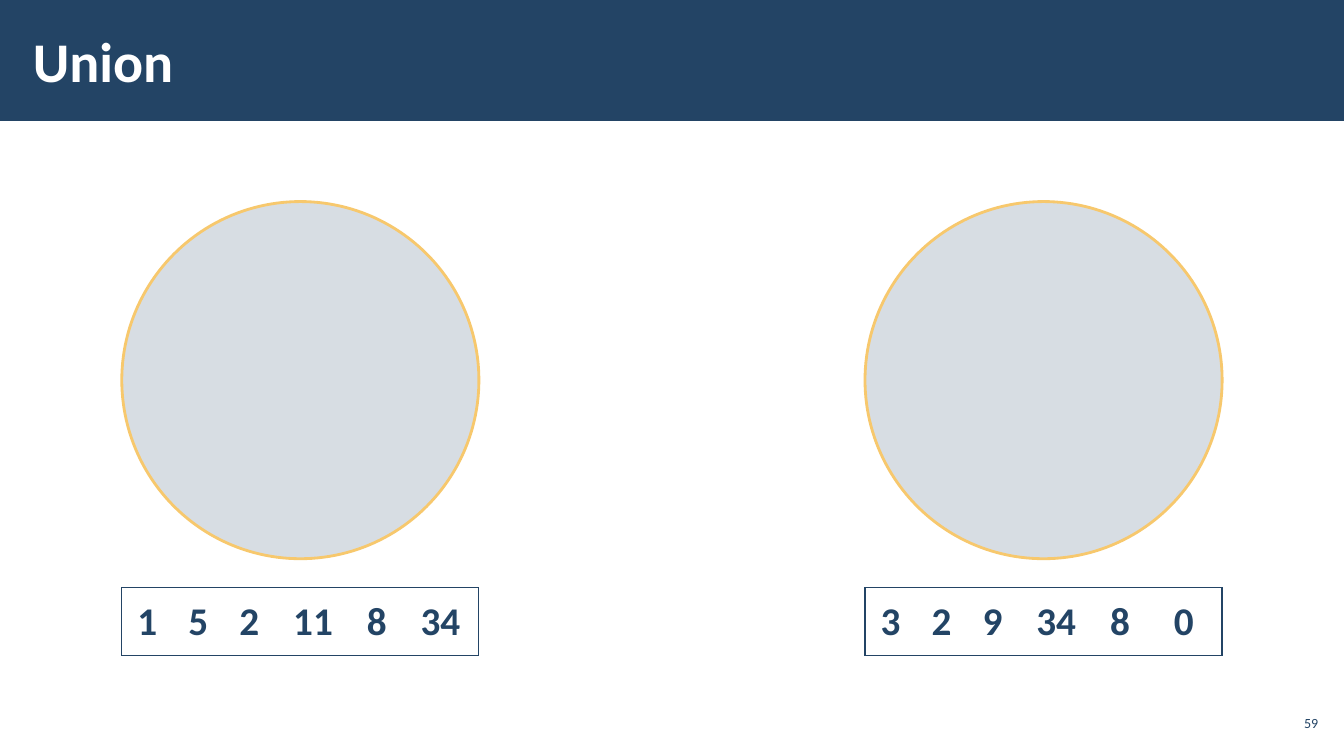
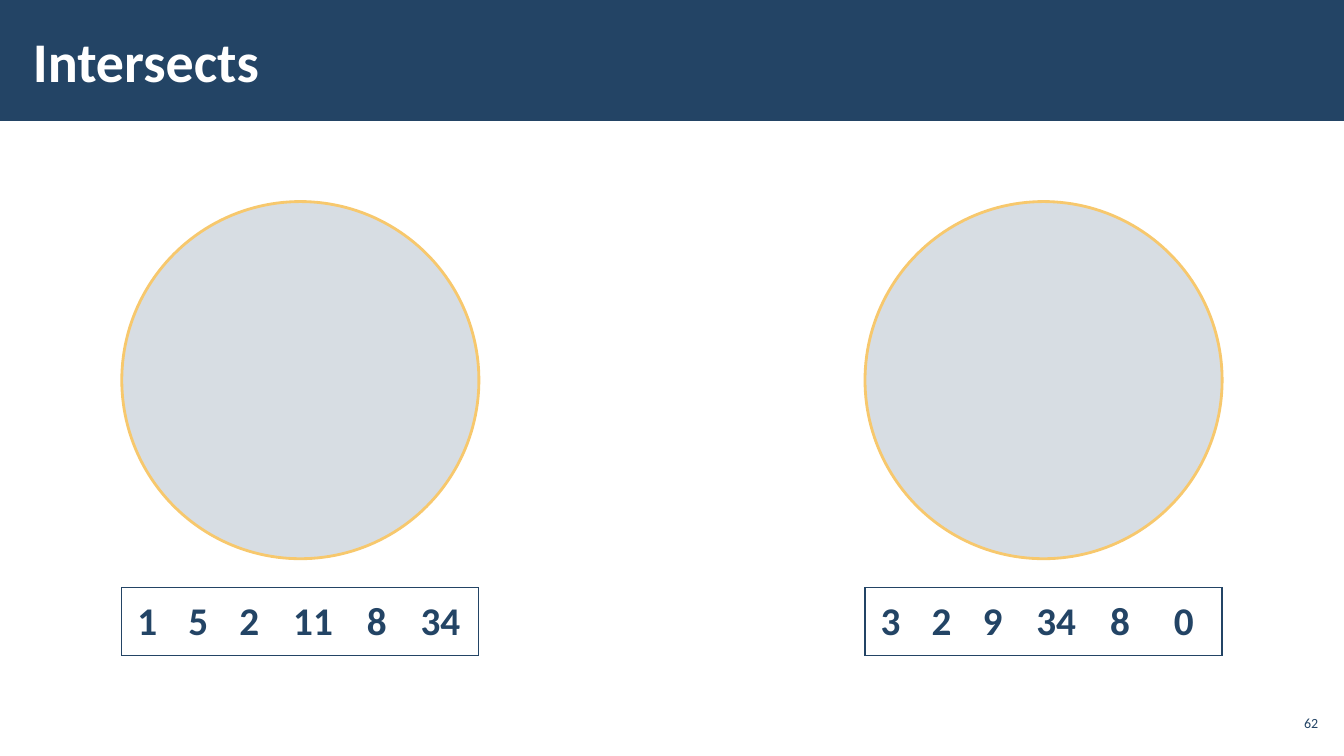
from lxml import etree
from pptx import Presentation
from pptx import util as u
from pptx.dml.color import RGBColor
from pptx.enum import shapes, text
from pptx.oxml.ns import qn

NAVY, GOLD, WHITE = "234465", "F7C86D", "FFFFFF"
FONT = "Calibri"
SLIDE_WIDTH, SLIDE_HEIGHT = 33.87, 19.05
BAND_HEIGHT = 3.05

SET_WIDTH, SET_TOP, SIDE_MARGIN = 9, 5.08, 3.07
ROW_OFFSET, ROW_HEIGHT = 9.73, 1.7
COLUMN_WEIGHTS = (2, 2, 2, 3, 2, 3)

SETS = (("1", "5", "2", "11", "8", "34"),
        ("3", "2", "9", "34", "8", "0"))
SLIDES = (("Union", "59"), ("Intersects", "62"))


def color(hex_value):
    return RGBColor.from_string(hex_value)


def cm_box(*lengths):
    return [u.Cm(length) for length in lengths]


def add_run(paragraph, words, size, hex_value, bold=False):
    run = paragraph.add_run()
    run.text = words
    run.font.name = FONT
    run.font.size = u.Pt(size)
    run.font.bold = bold
    run.font.color.rgb = color(hex_value)


def add_label(slide, box, words, size, hex_value, side_inset, bold=False,
              alignment=text.PP_ALIGN.LEFT):
    frame = slide.shapes.add_textbox(*cm_box(*box)).text_frame
    frame.word_wrap = True
    frame.vertical_anchor = text.MSO_ANCHOR.MIDDLE
    frame.margin_left = frame.margin_right = u.Cm(side_inset)
    frame.margin_top = frame.margin_bottom = u.Cm(0.1)
    paragraph = frame.paragraphs[0]
    paragraph.alignment = alignment
    add_run(paragraph, words, size, hex_value, bold)


def add_filled_shape(slide, kind, box, hex_value):
    shape = slide.shapes.add_shape(kind, *cm_box(*box))
    shape.shadow.inherit = False
    shape.fill.solid()
    shape.fill.fore_color.rgb = color(hex_value)
    shape.line.fill.background()
    return shape


def add_frame(slide, title, number):
    """Add the title band and the slide number."""
    add_filled_shape(slide, shapes.MSO_SHAPE.RECTANGLE,
                     (0, 0, SLIDE_WIDTH, BAND_HEIGHT), NAVY)
    add_label(slide, (0.53, 0.28, 26.42, 2.46), title, 40, WHITE, 0.3, bold=True)
    add_label(slide, (32.13, 17.78, 1.19, 0.86), number, 10, NAVY, 0.1,
              alignment=text.PP_ALIGN.RIGHT)


def add_circle(slide, left, top, diameter):
    circle = add_filled_shape(slide, shapes.MSO_SHAPE.OVAL,
                              (left, top, diameter, diameter), NAVY)
    fill_color = circle.fill._xPr.find(qn("a:solidFill"))[0]
    etree.SubElement(fill_color, qn("a:alpha"), val="18000")
    circle.line.color.rgb = color(GOLD)
    circle.line.width = u.Pt(2)


def set_borders(cell, visible_sides):
    """Draw the named sides (L, R, T, B) and clear the others."""
    properties = cell._tc.get_or_add_tcPr()
    for index, side in enumerate("LRTB"):
        line = etree.Element(qn(f"a:ln{side}"), w=str(u.Pt(1)))
        if side in visible_sides:
            fill = etree.SubElement(line, qn("a:solidFill"))
            etree.SubElement(fill, qn("a:srgbClr"), val=NAVY)
        else:
            etree.SubElement(line, qn("a:noFill"))
        properties.insert(index, line)


def add_number_row(slide, left, top, width, height, numbers):
    table = slide.shapes.add_table(
        1, len(numbers), *cm_box(left, top, width, height)).table
    table.first_row = table.horz_banding = False
    last = len(numbers) - 1
    for index, (number, weight) in enumerate(zip(numbers, COLUMN_WEIGHTS)):
        table.columns[index].width = u.Cm(width * weight / sum(COLUMN_WEIGHTS))
        cell = table.cell(0, index)
        cell.fill.background()
        cell.vertical_anchor = text.MSO_ANCHOR.MIDDLE
        cell.margin_left = cell.margin_right = u.Cm(0.33)
        cell.margin_top = cell.margin_bottom = u.Cm(0.13)
        paragraph = cell.text_frame.paragraphs[0]
        paragraph.alignment = text.PP_ALIGN.CENTER
        paragraph.line_spacing = 0.95
        add_run(paragraph, number, 28, NAVY, bold=True)
        set_borders(cell, "TB" + "L" * (index == 0) + "R" * (index == last))


def add_set(slide, left, top, width, numbers):
    """Add a circle with its row of numbers below."""
    add_circle(slide, left, top, width)
    add_number_row(slide, left, top + ROW_OFFSET, width, ROW_HEIGHT, numbers)


def add_sets_slide(presentation, title, number):
    slide = presentation.slides.add_slide(presentation.slide_layouts[6])
    add_frame(slide, title, number)
    right_set_left = SLIDE_WIDTH - SIDE_MARGIN - SET_WIDTH
    for left, numbers in zip((SIDE_MARGIN, right_set_left), SETS):
        add_set(slide, left, SET_TOP, SET_WIDTH, numbers)


def main():
    presentation = Presentation()
    presentation.slide_width = u.Cm(SLIDE_WIDTH)
    presentation.slide_height = u.Cm(SLIDE_HEIGHT)
    for title, number in SLIDES:
        add_sets_slide(presentation, title, number)
    presentation.save("out.pptx")


if __name__ == "__main__":
    main()
